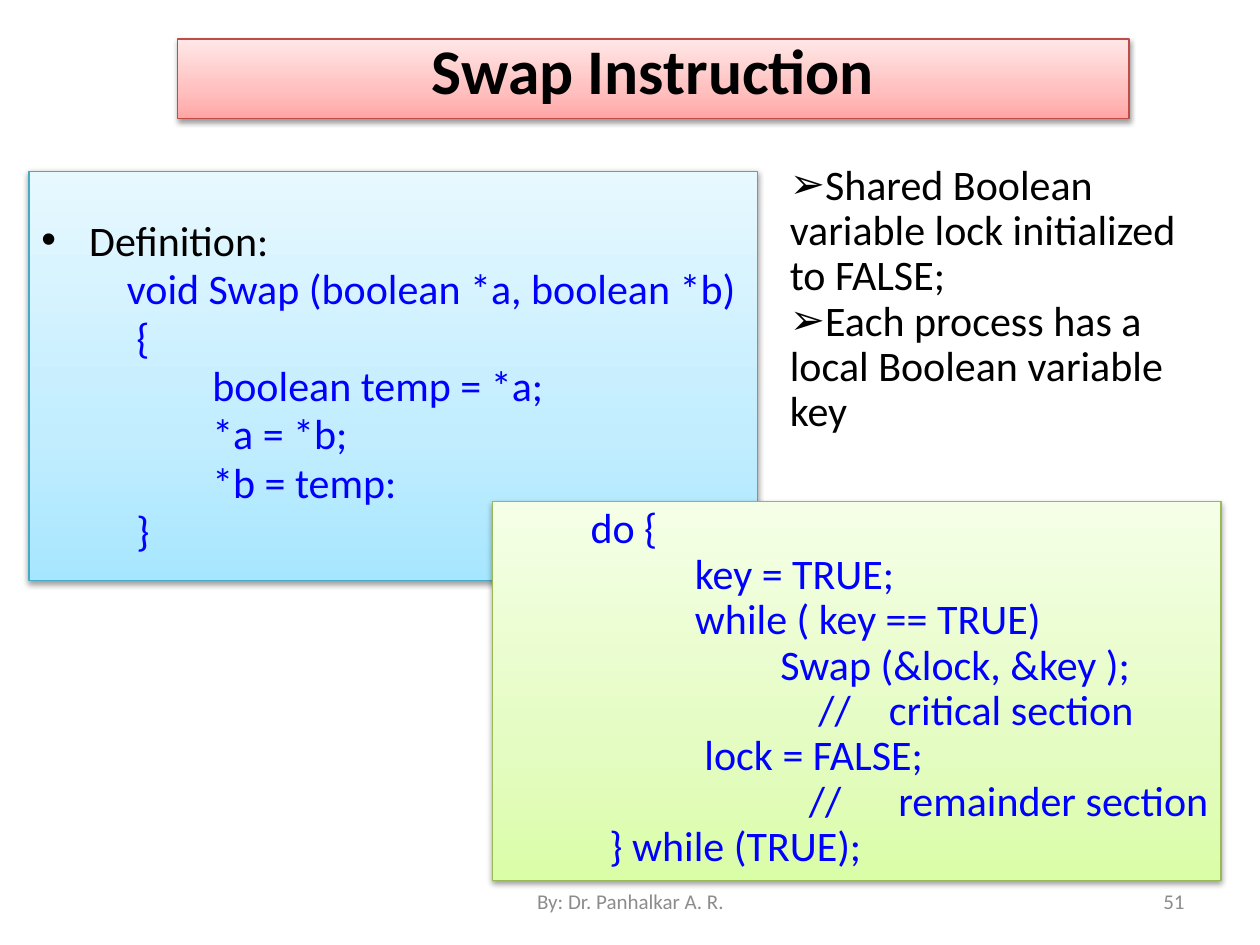
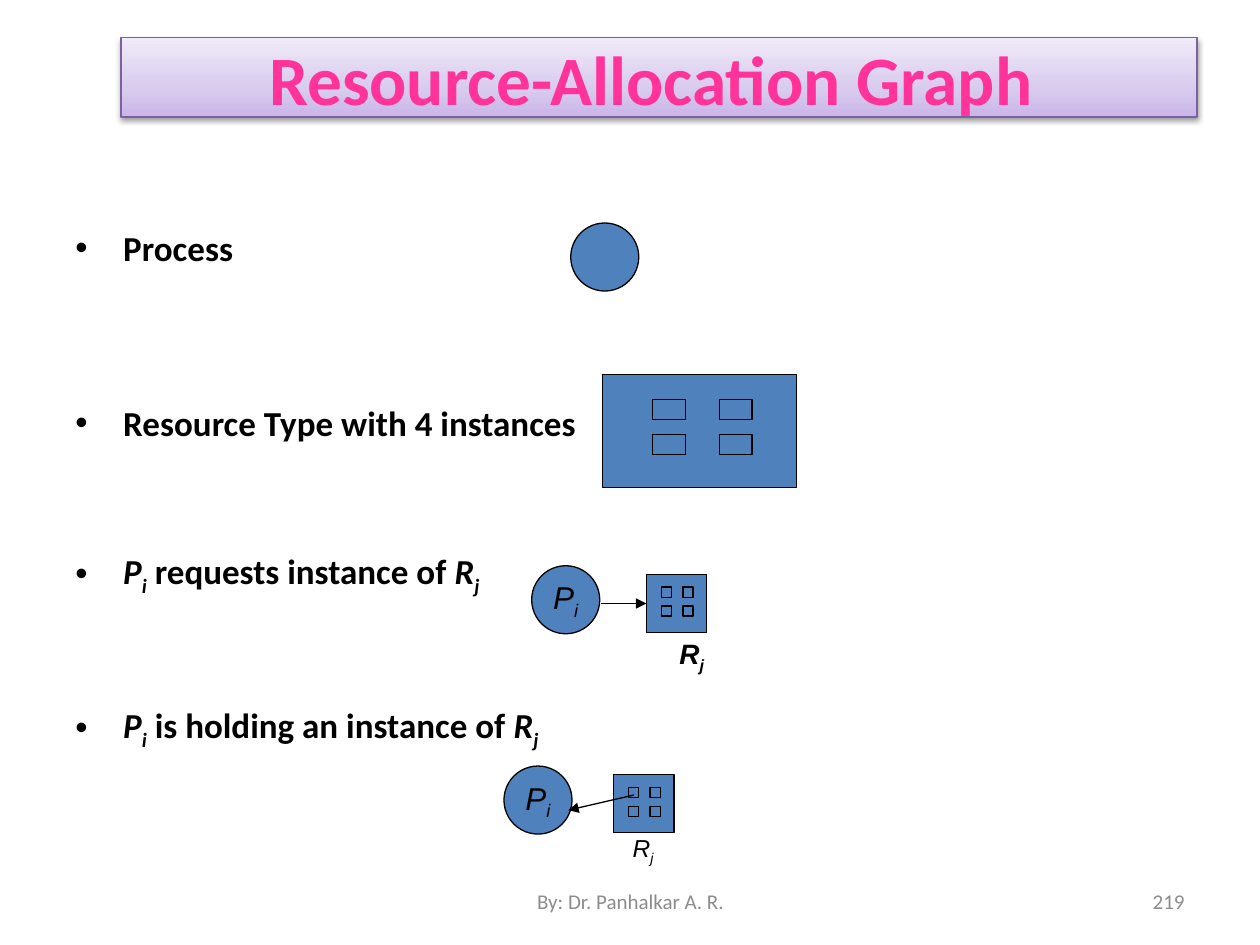
from dataclasses import dataclass

from pptx import Presentation
from pptx.dml.color import RGBColor
from pptx.enum import shapes, text
from pptx.oxml import parse_xml
from pptx.oxml.ns import nsdecls, qn
from pptx.util import Inches, Pt


@dataclass(frozen=True)
class Theme:
    body_font: str = "Calibri"
    label_font: str = "Arial"
    ink: str = "000000"
    code: str = "0000FF"
    pink: str = "FF3399"
    footer: str = "8C8C8C"
    node: str = "4F81BD"
    # Each panel: gradient from bottom to top, then outline
    blue: tuple = ("A7E6FF", "C1EDFF", "E7F8FF", "46AAC5")
    green: tuple = ("DAFDA7", "E4FCC2", "F5FFE7", "98B955")
    red: tuple = ("FFA6A5", "FFC0BF", "FFE7E7", "BF4C48")
    purple: tuple = ("C9B5E8", "D8CBEE", "F0EAF9", "7D60A0")
    outline: float = 0.75
    footer_size: float = 12
    list_size: float = 20
    note_size: float = 24
    code_size: float = 24
    node_size: float = 18


THEME = Theme()
ALIGN = text.PP_ALIGN
ANCHOR = text.MSO_ANCHOR
SHAPE = shapes.MSO_SHAPE
SWAP_CODE = """\
         void Swap (boolean *a, boolean *b)
          {
                  boolean temp = *a;
                  *a = *b;
                  *b = temp:
          }"""
LOCK_CODE = """\
         do {
                    key = TRUE;
                    while ( key == TRUE)
                             Swap (&lock, &key );
                                 //    critical section
                     lock = FALSE;
                                //      remainder section
           } while (TRUE);"""


def place(box):
    return [Inches(length) for length in box]


def set_font(paragraph, size, color=THEME.ink, name=THEME.body_font, bold=False, italic=False):
    font = paragraph.font
    font.name, font.size, font.bold, font.italic = name, Pt(size), bold, italic
    font.color.rgb = RGBColor.from_string(color)


def set_bullet(paragraph, character, hang=0):
    properties = paragraph._p.get_or_add_pPr()
    properties.set("marL", str(Inches(hang)))
    properties.set("indent", str(-Inches(hang)))
    properties.append(parse_xml(f'<a:buFont {nsdecls("a")} typeface="Arial"/>'))
    properties.append(parse_xml(f'<a:buChar {nsdecls("a")} char="{character}"/>'))


def next_paragraph(frame):
    """Return the unused first paragraph, or a new one."""
    first = frame.paragraphs[0]
    return frame.add_paragraph() if first.runs else first


def add_run(paragraph, words, italic=None, subscript=False):
    run = paragraph.add_run()
    run.text = words
    if italic:
        run.font.italic = True
    if subscript:
        run.font._element.set("baseline", "-25000")


def add_symbol(paragraph, symbol):
    """Write a two-letter symbol in italics, its second letter as a subscript."""
    add_run(paragraph, symbol[0], italic=True)
    add_run(paragraph, symbol[1], italic=True, subscript=True)


def add_text_box(slide, box, anchor=ANCHOR.TOP, wrap=True):
    frame = slide.shapes.add_textbox(*place(box)).text_frame
    frame.word_wrap = wrap
    frame.vertical_anchor = anchor
    return frame


def set_outline(line, color):
    line.color.rgb = RGBColor.from_string(color)
    line.width = Pt(THEME.outline)


def add_panel(slide, box, colors, anchor=ANCHOR.TOP):
    """Add a shadowed gradient rectangle and return its text frame."""
    panel = slide.shapes.add_shape(SHAPE.RECTANGLE, *place(box))
    properties = panel.element.spPr
    stops = "".join(
        f'<a:gs pos="{position}000"><a:srgbClr val="{color}"/></a:gs>'
        for position, color in zip((0, 35, 100), colors)
    )
    properties.find(qn("a:prstGeom")).addnext(parse_xml(
        f'<a:gradFill {nsdecls("a")} rotWithShape="1"><a:gsLst>{stops}</a:gsLst>'
        '<a:lin ang="16200000" scaled="0"/></a:gradFill>'
    ))
    set_outline(panel.line, colors[-1])
    panel.shadow.inherit = False
    properties.find(qn("a:effectLst")).append(parse_xml(
        f'<a:outerShdw {nsdecls("a")} blurRad="40000" dist="20000" dir="5400000" '
        'rotWithShape="0"><a:srgbClr val="000000"><a:alpha val="38000"/></a:srgbClr>'
        '</a:outerShdw>'
    ))
    frame = panel.text_frame
    frame.word_wrap = True
    frame.vertical_anchor = anchor
    return frame


def add_title(slide, box, colors, words, size, color, anchor, spacing):
    paragraph = add_panel(slide, box, colors, anchor).paragraphs[0]
    paragraph.alignment = ALIGN.CENTER
    paragraph.line_spacing = spacing
    add_run(paragraph, words)
    set_font(paragraph, size, color, bold=True)


def add_code(frame, code, spacing, space_before=0):
    for line in code.splitlines():
        paragraph = next_paragraph(frame)
        paragraph.alignment = ALIGN.LEFT
        paragraph.line_spacing = spacing
        paragraph.space_before = Pt(space_before)
        add_run(paragraph, line)
        set_font(paragraph, THEME.code_size, THEME.code)


def add_footer(slide, number):
    for left, width, words, alignment in (
        (3.42, 3.17, "By: Dr. Panhalkar A. R.", ALIGN.CENTER),
        (7.17, 2.33, str(number), ALIGN.RIGHT),
    ):
        frame = add_text_box(slide, (left, 6.95, width, 0.4), ANCHOR.MIDDLE)
        paragraph = frame.paragraphs[0]
        paragraph.alignment = alignment
        add_run(paragraph, words)
        set_font(paragraph, THEME.footer_size, THEME.footer)


def add_node(parent, kind, box):
    node = parent.shapes.add_shape(kind, *place(box))
    node.fill.solid()
    node.fill.fore_color.rgb = RGBColor.from_string(THEME.node)
    set_outline(node.line, THEME.ink)
    node.shadow.inherit = False
    return node


def add_process(slide, left, top, symbol=None):
    process = add_node(slide, SHAPE.OVAL, (left, top, 0.54, 0.54))
    if symbol:
        frame = process.text_frame
        frame.word_wrap = False
        frame.vertical_anchor = ANCHOR.MIDDLE
        paragraph = frame.paragraphs[0]
        paragraph.alignment = ALIGN.CENTER
        add_symbol(paragraph, symbol)
        set_font(paragraph, THEME.node_size, name=THEME.label_font, italic=True)


def add_resource(slide, box, inset, cell, pitch):
    """Group a rectangle with a two-by-two grid of instances; return the rectangle."""
    group = slide.shapes.add_group_shape()
    resource = add_node(group, SHAPE.RECTANGLE, box)
    for row in range(2):
        for column in range(2):
            left = box[0] + inset[0] + column * pitch[0]
            top = box[1] + inset[1] + row * pitch[1]
            add_node(group, SHAPE.RECTANGLE, (left, top, *cell))
    return resource


def add_small_resource(slide, left, top):
    return add_resource(slide, (left, top, 0.48, 0.46), (0.12, 0.1), (0.08, 0.08), (0.17, 0.15))


def add_resource_label(slide, box, size, bold, wrap):
    paragraph = add_text_box(slide, box, ANCHOR.MIDDLE, wrap).paragraphs[0]
    paragraph.alignment = ALIGN.CENTER
    add_symbol(paragraph, "Rj")
    set_font(paragraph, size, name=THEME.label_font, bold=bold, italic=True)


def add_arrow(slide, start, end):
    arrow = slide.shapes.add_connector(shapes.MSO_CONNECTOR.STRAIGHT, *place(start + end))
    set_outline(arrow.line, THEME.ink)
    properties = arrow.element.spPr
    properties.find(qn("a:ln")).append(
        parse_xml(f'<a:tailEnd {nsdecls("a")} type="triangle"/>'))
    properties.append(parse_xml(f'<a:effectLst {nsdecls("a")}/>'))
    return arrow


def add_list_item(frame, pieces, space_before=0):
    """Add a bold bullet; two-letter pieces are symbols."""
    paragraph = next_paragraph(frame)
    paragraph.space_before = Pt(space_before)
    set_bullet(paragraph, "•", 0.38)
    for piece in pieces:
        if len(piece) == 2:
            add_symbol(paragraph, piece)
        else:
            add_run(paragraph, piece)
    set_font(paragraph, THEME.list_size, bold=True)


def build_swap_slide(slide):
    definition = add_panel(slide, (0.23, 1.36, 5.78, 3.25), THEME.blue)
    definition.margin_top = Inches(0.42)
    heading = definition.paragraphs[0]
    heading.alignment = ALIGN.LEFT
    heading.line_spacing = 0.8
    set_bullet(heading, "•", 0.38)
    add_run(heading, "Definition:")
    set_font(heading, THEME.code_size)
    add_code(definition, SWAP_CODE, 0.8, 4.6)

    usage = add_panel(slide, (3.91, 3.98, 5.78, 3.01), THEME.green)
    usage.margin_right = Inches(0.05)
    add_code(usage, LOCK_CODE, 0.9)

    add_title(slide, (1.41, 0.31, 7.55, 0.63), THEME.red, "Swap Instruction",
              36.3, THEME.ink, ANCHOR.TOP, 0.8)
    notes = add_text_box(slide, (6.17, 1.25, 3.59, 2.28))
    for words in ("Shared Boolean variable lock initialized to FALSE;",
                  "Each process has a local Boolean variable key"):
        paragraph = next_paragraph(notes)
        paragraph.line_spacing = 0.9
        set_bullet(paragraph, "➢")
        add_run(paragraph, words)
        set_font(paragraph, THEME.note_size)
    add_footer(slide, 51)


def build_graph_slide(slide):
    add_title(slide, (0.96, 0.3, 8.54, 0.63), THEME.purple, "Resource-Allocation Graph ",
              39.6, THEME.pink, ANCHOR.MIDDLE, 1.0)
    legend = add_text_box(slide, (0.5, 1.75, 9, 4.95))
    add_list_item(legend, ["Process"])
    add_list_item(legend, ["Resource Type with 4 instances"], 76)
    add_list_item(legend, ["Pi", " requests instance of ", "Rj"], 60.5)
    add_list_item(legend, ["Pi", " is holding an instance of ", "Rj"], 60.5)

    add_process(slide, 4.53, 1.77)
    add_resource(slide, (4.78, 2.97, 1.54, 0.9), (0.4, 0.2), (0.26, 0.16), (0.53, 0.28))

    add_process(slide, 4.22, 4.49, "Pi")
    requested = add_small_resource(slide, 5.13, 4.56)
    request = add_arrow(slide, (4.77, 4.79), (5.13, 4.79))
    request.end_connect(requested, 1)
    add_resource_label(slide, (5.2, 5.02, 0.58, 0.37), 16, bold=True, wrap=True)

    add_process(slide, 4, 6.08, "Pi")
    add_small_resource(slide, 4.87, 6.15)
    add_arrow(slide, (5.03, 6.31), (4.51, 6.43))
    add_resource_label(slide, (4.92, 6.58, 0.37, 0.33), 14, bold=False, wrap=False)
    add_footer(slide, 219)


def main():
    presentation = Presentation()
    presentation.slide_width, presentation.slide_height = Inches(10), Inches(7.5)
    blank = presentation.slide_layouts[6]
    for build in (build_swap_slide, build_graph_slide):
        build(presentation.slides.add_slide(blank))
    presentation.save("out.pptx")


if __name__ == "__main__":
    main()
